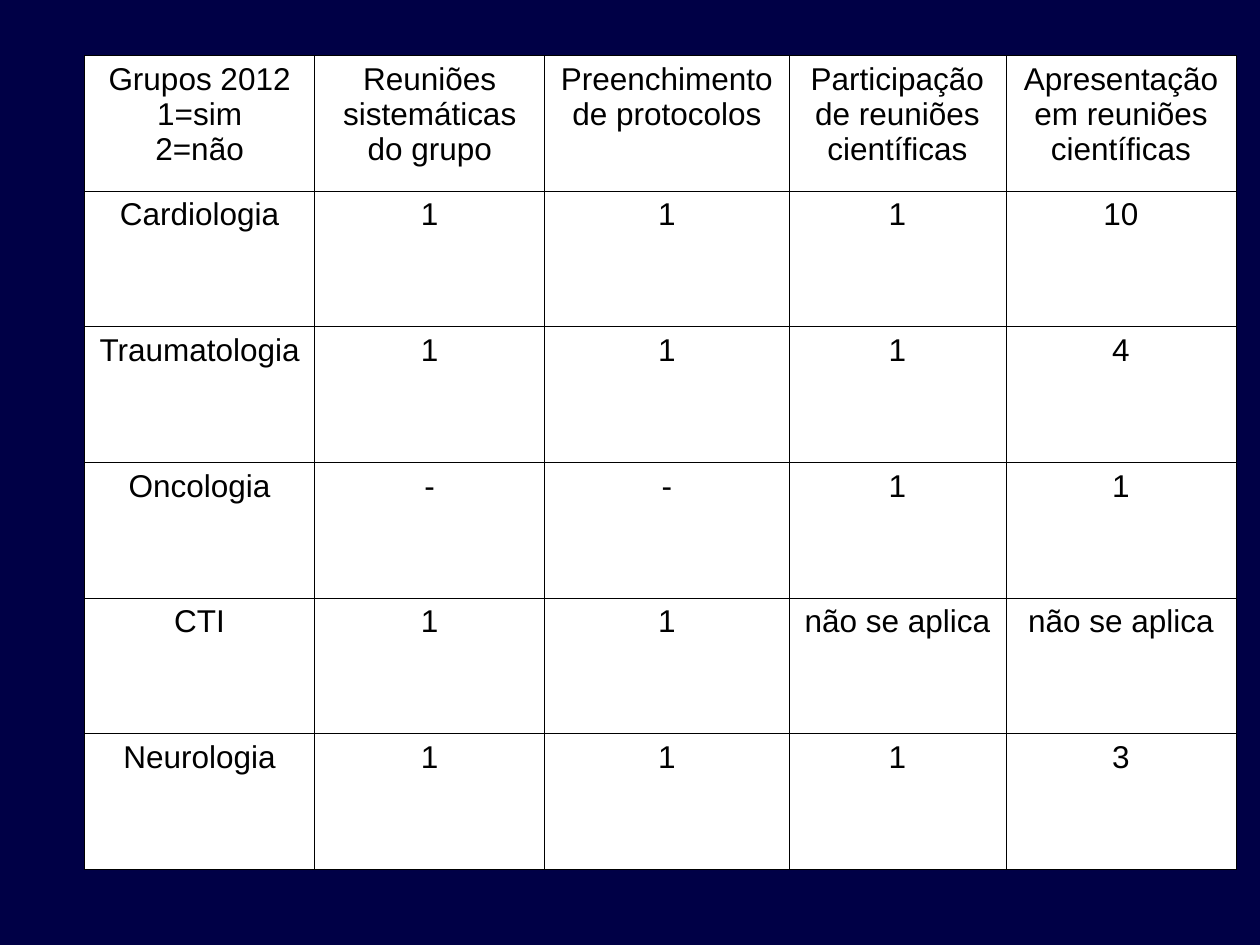
from lxml.etree import SubElement
from pptx import Presentation
from pptx.dml.color import RGBColor
from pptx.enum.text import PP_ALIGN
from pptx.oxml.ns import qn
from pptx.util import Pt

NAVY = RGBColor(0x00, 0x00, 0x46)
WHITE = RGBColor(0xFF, 0xFF, 0xFF)
BLACK = RGBColor(0x00, 0x00, 0x00)

COL_WIDTHS = [131.5, 131.5, 139.5, 124, 131.5]
ROW_HEIGHT = 77.5
ROWS = [
    ["Grupos 2012\n1=sim\n2=não", "Reuniões sistemáticas do grupo",
     "Preenchimento de protocolos", "Participação de reuniões científicas",
     "Apresentação em reuniões científicas"],
    ["Cardiologia", "1", "1", "1", "10"],
    ["Traumatologia", "1", "1", "1", "4"],
    ["Oncologia", "-", "-", "1", "1"],
    ["CTI", "1", "1", "não se aplica", "não se aplica"],
    ["Neurologia", "1", "1", "1", "3"],
]


class SlideBuilder:
    """Hold the text and table style and draw on the current slide."""

    font = "Arial"
    size = Pt(18)
    border = Pt(0.45)

    def __init__(self, prs):
        self.s = prs.slides.add_slide(prs.slide_layouts[6])

    def background(self, color):
        fill = self.s.background.fill
        fill.solid()
        fill.fore_color.rgb = color

    def table(self, left, top, widths, row_height, rows):
        sp = self.s.shapes.add_table(
            len(rows), len(widths), Pt(left), Pt(top),
            Pt(sum(widths)), Pt(row_height * len(rows)))
        table = sp.table
        for column, width in zip(table.columns, widths):
            column.width = Pt(width)
        for row, texts in zip(table.rows, rows):
            row.height = Pt(row_height)
            for cell, text in zip(row.cells, texts):
                self.cell(cell, text)

    def cell(self, cell, text):
        self.borders(cell)
        cell.fill.solid()
        cell.fill.fore_color.rgb = WHITE
        cell.margin_left = cell.margin_right = Pt(7.2)
        cell.margin_top = cell.margin_bottom = Pt(3.6)
        tf = cell.text_frame
        for i, line in enumerate(text.split("\n")):
            p = tf.add_paragraph() if i else tf.paragraphs[0]
            p.alignment = PP_ALIGN.CENTER
            r = p.add_run()
            r.text = line
            r.font.name = self.font
            r.font.size = self.size
            r.font.bold = False
            r.font.color.rgb = BLACK

    def borders(self, cell):
        tc_pr = cell._tc.get_or_add_tcPr()
        for side in ("a:lnL", "a:lnR", "a:lnT", "a:lnB"):
            ln = SubElement(tc_pr, qn(side), w=str(self.border))
            fill = SubElement(ln, qn("a:solidFill"))
            SubElement(fill, qn("a:srgbClr"), val=str(BLACK))


def main():
    prs = Presentation()
    prs.slide_width, prs.slide_height = Pt(720), Pt(540)
    slide = SlideBuilder(prs)
    slide.background(NAVY)
    slide.table(48.3, 31.7, COL_WIDTHS, ROW_HEIGHT, ROWS)
    prs.save("out.pptx")


if __name__ == "__main__":
    main()
